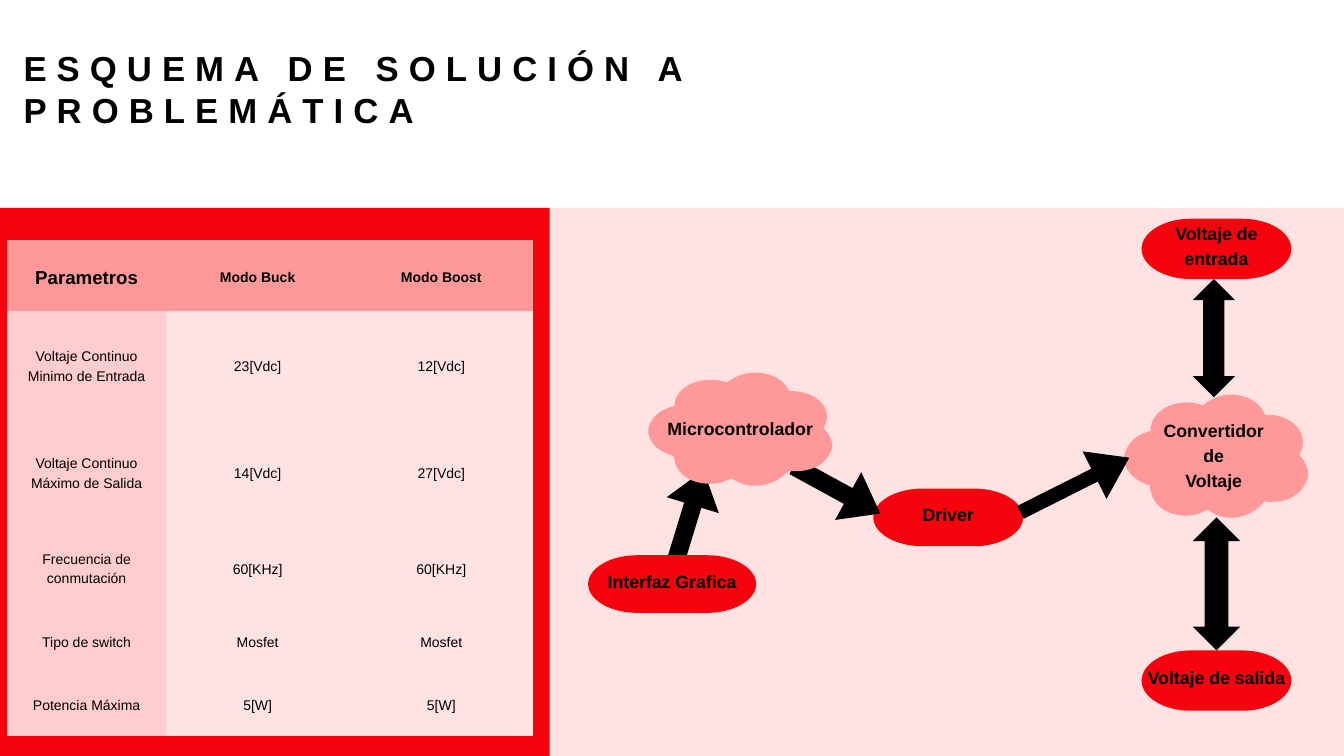
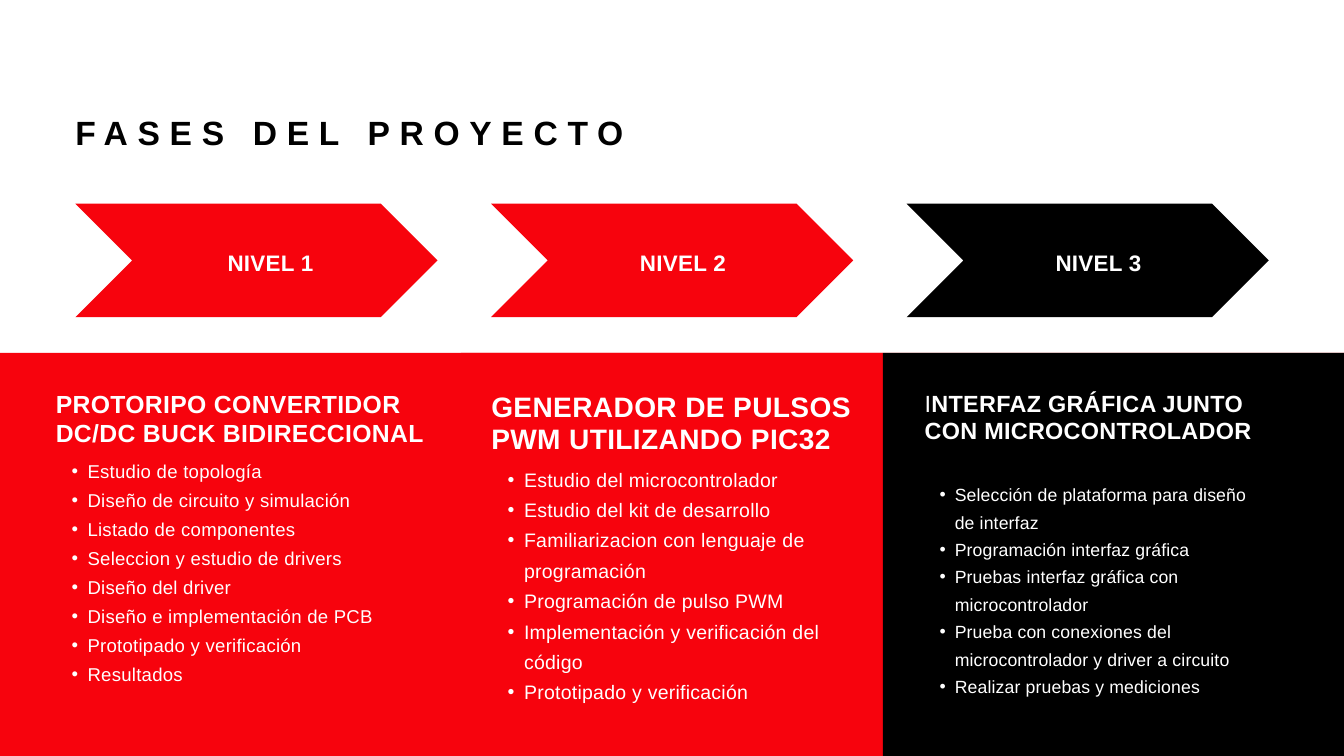
from typing import NamedTuple

from lxml.etree import SubElement
from pptx import Presentation
from pptx.dml.color import RGBColor
from pptx.enum.shapes import MSO_SHAPE
from pptx.enum.text import MSO_ANCHOR, PP_ALIGN
from pptx.oxml.ns import qn
from pptx.util import Cm, Pt

RED = RGBColor(0xF7, 0x03, 0x0D)
CORAL = RGBColor(0xFF, 0x99, 0x99)
ROSE = RGBColor(0xFF, 0xCD, 0xCD)
BLUSH = RGBColor(0xFF, 0xE3, 0xE3)
BLACK = RGBColor(0, 0, 0)
WHITE = RGBColor(0xFF, 0xFF, 0xFF)
FONT = "Arial"
NO_STYLE_TABLE = "{2D5ABB26-0587-4C30-8999-92F81FD0307C}"
SLIDE_WIDTH, SLIDE_HEIGHT = 50.8, 28.58

PILL_CORNER = 1.86
CURVE_PULL = 0.55
CLOUD_SIZE = (274, 183)
CLOUD_START = (156, 0)
CLOUD_CURVES = [
    ((159, 0), (162, 0), (165, 0)),
    ((188, 3), (203, 13), (210, 30)),
    ((250, 28), (279, 59), (261, 90)),
    ((267, 96), (272, 104), (274, 113)),
    ((274, 116), (274, 119), (274, 122)),
    ((268, 146), (246, 163), (209, 159)),
    ((199, 171), (182, 184), (156, 183)),
    ((142, 182), (132, 177), (124, 171)),
    ((115, 176), (106, 180), (92, 180)),
    ((60, 180), (39, 161), (38, 135)),
    ((18, 129), (4, 118), (0, 99)),
    ((0, 96), (0, 93), (0, 90)),
    ((5, 71), (18, 59), (39, 54)),
    ((38, 22), (82, 2), (117, 16)),
    ((126, 9), (138, 1), (156, 0)),
]

PARAMETERS = [
    ("Parametros", "Modo Buck", "Modo Boost"),
    ("Voltaje Continuo Minimo de Entrada", "23[Vdc]", "12[Vdc]"),
    ("Voltaje Continuo Máximo de Salida", "14[Vdc]", "27[Vdc]"),
    ("Frecuencia de conmutación", "60[KHz]", "60[KHz]"),
    ("Tipo de switch", "Mosfet", "Mosfet"),
    ("Potencia Máxima", "5[W]", "5[W]"),
]
COLUMN_WIDTHS = [5.99, 6.94, 6.94]
ROW_HEIGHTS = [2.69, 4.04, 4.04, 3.18, 2.39, 2.39]


class Box(NamedTuple):
    left: float
    top: float
    width: float
    height: float

    def inner(self, left, top, width, height):
        return Box(self.left + left, self.top + top, width, height)

    def lengths(self):
        return [Cm(value) for value in self]


class TextStyle(NamedTuple):
    size: float
    spacing: float
    color: RGBColor = BLACK
    bold: bool = False
    tracking: float = 0
    align: PP_ALIGN = PP_ALIGN.LEFT


class Phase(NamedTuple):
    level: str
    color: RGBColor
    column: Box
    heading: str
    heading_box: Box
    heading_style: TextStyle
    tasks: list
    tasks_box: Box
    tasks_style: TextStyle
    indent: float
    has_panel: bool = True
    light_lead: int = 0


NODE_STYLE = TextStyle(19, 26.6, bold=True, align=PP_ALIGN.CENTER)
LEVEL_STYLE = TextStyle(24, 27.6, WHITE, True, 0.3, PP_ALIGN.CENTER)

PHASE_BAND = Box(0, 13.34, SLIDE_WIDTH, 15.24)
PHASES = [
    Phase("NIVEL 1", RED, PHASE_BAND.inner(0, 0, 17.42, 15.24),
          "PROTORIPO CONVERTIDOR DC/DC BUCK BIDIRECCIONAL",
          Box(2.11, 1.42, 15.16, 2.18), TextStyle(26.5, 30.5, WHITE, True, 0.38),
          ["Estudio de topología", "Diseño de circuito y simulación",
           "Listado de componentes", "Seleccion y estudio de drivers",
           "Diseño del driver", "Diseño e implementación de PCB",
           "Prototipado y verificación", "Resultados"],
          Box(2.11, 3.81, 15.16, 8.56), TextStyle(19.9, 31.05, WHITE, tracking=0.28), 0.6,
          has_panel=False),
    Phase("NIVEL 2 ", RED, PHASE_BAND.inner(17.42, 0, 15.95, 15.24),
          "GENERADOR DE PULSOS PWM UTILIZANDO PIC32",
          Box(1.15, 1.42, 14.73, 2.41), TextStyle(30.1, 34.6, WHITE, True, 0.4),
          ["Estudio del microcontrolador", "Estudio del kit de desarrollo",
           "Familiarizacion con lenguaje de programación",
           "Programación de pulso PWM",
           "Implementación y verificación del código",
           "Prototipado y verificación"],
          Box(1.15, 4.08, 14.73, 8.94), TextStyle(20.9, 32.55, WHITE, tracking=0.28), 0.62),
    Phase("NIVEL 3 ", BLACK, PHASE_BAND.inner(33.37, 0, 17.43, 15.24),
          "INTERFAZ GRÁFICA JUNTO CON MICROCONTROLADOR",
          Box(1.58, 1.42, 12.98, 3.07), TextStyle(25.1, 28.95, WHITE, True, 0.35),
          ["Selección de plataforma para diseño de interfaz",
           "Programación interfaz gráfica",
           "Pruebas interfaz gráfica con microcontrolador",
           "Prueba con conexiones del microcontrolador y driver a circuito",
           "Realizar pruebas y mediciones"],
          Box(1.58, 4.72, 12.98, 9.12), TextStyle(18.85, 29.4, WHITE, tracking=0.2), 0.57,
          light_lead=1),
]


def add_bullet(paragraph, indent):
    paragraph.level = 1
    properties = paragraph._p.get_or_add_pPr()
    properties.set("marL", str(Cm(2 * indent)))
    properties.set("indent", str(-Cm(indent)))
    SubElement(properties, qn("a:buFont"), typeface=FONT)
    SubElement(properties, qn("a:buChar"), char="•")


def write_text(frame, lines, style, indent=0, light_lead=0):
    frame.word_wrap = True
    for index, line in enumerate(lines):
        paragraph = frame.paragraphs[0] if index == 0 else frame.add_paragraph()
        if light_lead:
            paragraph.add_run().text = line[:light_lead]
            paragraph.runs[0].font.bold = False
        paragraph.add_run().text = line[light_lead:]
        paragraph.alignment = style.align
        paragraph.line_spacing = Pt(style.spacing)
        if indent:
            add_bullet(paragraph, indent)
        font = paragraph.font
        font.name, font.size, font.bold = FONT, Pt(style.size), style.bold
        font.color.rgb = style.color
        if style.tracking:
            defaults = paragraph._p.get_or_add_pPr().get_or_add_defRPr()
            defaults.set("spc", str(round(style.tracking * 100)))


def set_margins(target, left=0, top=0, right=0, bottom=0):
    target.margin_left, target.margin_top = Cm(left), Cm(top)
    target.margin_right, target.margin_bottom = Cm(right), Cm(bottom)


def add_text(slide, box, lines, style, **options):
    frame = slide.shapes.add_textbox(*box.lengths()).text_frame
    set_margins(frame)
    write_text(frame, lines, style, **options)


def paint(shape, color):
    shape.shadow.inherit = False
    shape.fill.solid()
    shape.fill.fore_color.rgb = color
    shape.line.fill.background()
    return shape


def add_preset(slide, preset, box, color):
    return paint(slide.shapes.add_shape(preset, *box.lengths()), color)


def add_outline(slide, box, start, segments, color):
    corners = [(Cm(x), Cm(y)) for x, y in [start] + [segment[-1] for segment in segments]]
    builder = slide.shapes.build_freeform(*corners[0])
    builder.add_line_segments(corners[1:], close=True)
    shape = builder.convert_to_shape(Cm(box.left), Cm(box.top))
    for element, segment in zip(list(shape._element.iter(qn("a:lnTo"))), segments):
        if len(segment) == 3:
            element.tag = qn("a:cubicBezTo")
            element.remove(element[0])
            for x, y in segment:
                SubElement(element, qn("a:pt"), x=str(Cm(x)), y=str(Cm(y)))
    return paint(shape, color)


def label_node(shape, lines, lift):
    frame = shape.text_frame
    set_margins(frame, bottom=lift)
    frame.vertical_anchor = MSO_ANCHOR.MIDDLE
    write_text(frame, lines, NODE_STYLE)


def add_pill(slide, box, label):
    width, height, middle = box.width, box.height, box.height / 2
    right = width - PILL_CORNER
    across, down = PILL_CORNER * CURVE_PULL, middle * CURVE_PULL
    segments = [
        ((right + across, 0), (width, middle - down), (width, middle)),
        ((width, middle + down), (right + across, height), (right, height)),
        ((PILL_CORNER, height),),
        ((PILL_CORNER - across, height), (0, middle + down), (0, middle)),
        ((0, middle - down), (PILL_CORNER - across, 0), (PILL_CORNER, 0)),
    ]
    label_node(add_outline(slide, box, (right, 0), segments, RED), [label], 0.36)


def add_cloud(slide, box, lines):
    def scale(point):
        return point[0] * box.width / CLOUD_SIZE[0], point[1] * box.height / CLOUD_SIZE[1]

    segments = [tuple(scale(point) for point in curve) for curve in CLOUD_CURVES]
    label_node(add_outline(slide, box, scale(CLOUD_START), segments, CORAL), lines, 0.2)


def add_arrow(slide, box, angle, shaft, head):
    arrow = add_preset(slide, MSO_SHAPE.RIGHT_ARROW, box, BLACK)
    arrow.adjustments[0], arrow.adjustments[1] = shaft, head
    arrow.rotation = angle


def add_parameter_table(slide, box):
    add_preset(slide, MSO_SHAPE.RECTANGLE, box, RED)
    area = box.inner(0.28, 1.22, sum(COLUMN_WIDTHS), sum(ROW_HEIGHTS))
    table = slide.shapes.add_table(len(ROW_HEIGHTS), len(COLUMN_WIDTHS), *area.lengths()).table
    table.first_row = table.horz_banding = False
    table._tbl.tblPr.find(qn("a:tableStyleId")).text = NO_STYLE_TABLE
    for column, width in zip(table.columns, COLUMN_WIDTHS):
        column.width = Cm(width)
    for row_index, (row, height) in enumerate(zip(table.rows, ROW_HEIGHTS)):
        row.height = Cm(height)
        for column_index, cell in enumerate(row.cells):
            header = row_index == 0
            size, spacing = (20, 28) if header and column_index == 0 else (15, 21)
            cell.fill.solid()
            cell.fill.fore_color.rgb = CORAL if header else BLUSH if column_index else ROSE
            cell.vertical_anchor = MSO_ANCHOR.MIDDLE
            set_margins(cell, 0.53, 0.53, 0.53, 0.53)
            write_text(cell.text_frame, [PARAMETERS[row_index][column_index]],
                       TextStyle(size, spacing, bold=header, align=PP_ALIGN.CENTER))


def add_solution_diagram(slide, box):
    add_preset(slide, MSO_SHAPE.RECTANGLE, box, BLUSH)
    add_pill(slide, box.inner(22.37, 0.41, 5.66, 2.28), "Voltaje de entrada")
    add_cloud(slide, box.inner(21.72, 7.06, 6.94, 4.65), ["Convertidor ", "de ", "Voltaje "])
    add_preset(slide, MSO_SHAPE.UP_DOWN_ARROW, box.inner(24.3, 2.69, 1.6, 4.47), BLACK)
    add_pill(slide, box.inner(22.37, 16.73, 5.66, 2.28), "Voltaje de salida")
    add_preset(slide, MSO_SHAPE.UP_DOWN_ARROW, box.inner(24.3, 11.7, 1.8, 5.03), BLACK)
    add_pill(slide, box.inner(12.23, 10.61, 5.66, 2.18), "Driver")
    add_arrow(slide, box.inner(17.55, 9.47, 4.6, 2.01), 333.3, 0.27, 0.73)
    add_arrow(slide, box.inner(8.99, 9.63, 3.73, 2.06), 28.7, 0.33, 0.67)
    add_arrow(slide, box.inner(3.4, 10.67, 3.73, 2.06), 287, 0.33, 0.67)
    add_pill(slide, box.inner(1.45, 13.13, 6.35, 2.18), "Interfaz Grafica")
    add_cloud(slide, box.inner(3.73, 6.23, 6.94, 4.27), ["Microcontrolador"])


def add_title(slide, box, text, size, spacing, tracking):
    add_text(slide, box, [text], TextStyle(size, spacing, BLACK, True, tracking))


def add_level(slide, box, phase):
    chevron = add_preset(slide, MSO_SHAPE.CHEVRON, box, phase.color)
    set_margins(chevron.text_frame, left=1.06, top=0.2)
    chevron.text_frame.vertical_anchor = MSO_ANCHOR.MIDDLE
    write_text(chevron.text_frame, [phase.level], LEVEL_STYLE)


def add_phase(slide, box, phase):
    if phase.has_panel:
        add_preset(slide, MSO_SHAPE.RECTANGLE, box, phase.color)
    add_text(slide, box.inner(*phase.heading_box), [phase.heading], phase.heading_style,
             light_lead=phase.light_lead)
    add_text(slide, box.inner(*phase.tasks_box), phase.tasks, phase.tasks_style,
             indent=phase.indent)


def build_solution_slide(slide):
    add_solution_diagram(slide, Box(20.78, 7.86, 30.02, 20.72))
    add_parameter_table(slide, Box(0, 7.86, 20.78, 20.72))
    add_title(slide, Box(0.89, 1.75, 32.11, 3.15), "ESQUEMA DE SOLUCIÓN A PROBLEMÁTICA",
              37.2, 45.1, 10.8)


def build_phases_slide(slide):
    add_preset(slide, MSO_SHAPE.RECTANGLE, PHASE_BAND, RED)
    for index, phase in enumerate(PHASES):
        add_level(slide, Box(2.85 + 15.71 * index, 7.7, 13.69, 4.29), phase)
        add_phase(slide, phase.column, phase)
    add_title(slide, Box(2.85, 4.22, 25.63, 1.52), "FASES DEL PROYECTO", 36, 43.6, 10.4)


def main():
    presentation = Presentation()
    presentation.slide_width, presentation.slide_height = Cm(SLIDE_WIDTH), Cm(SLIDE_HEIGHT)
    for build_slide in (build_solution_slide, build_phases_slide):
        build_slide(presentation.slides.add_slide(presentation.slide_layouts[6]))
    presentation.save("out.pptx")


if __name__ == "__main__":
    main()
